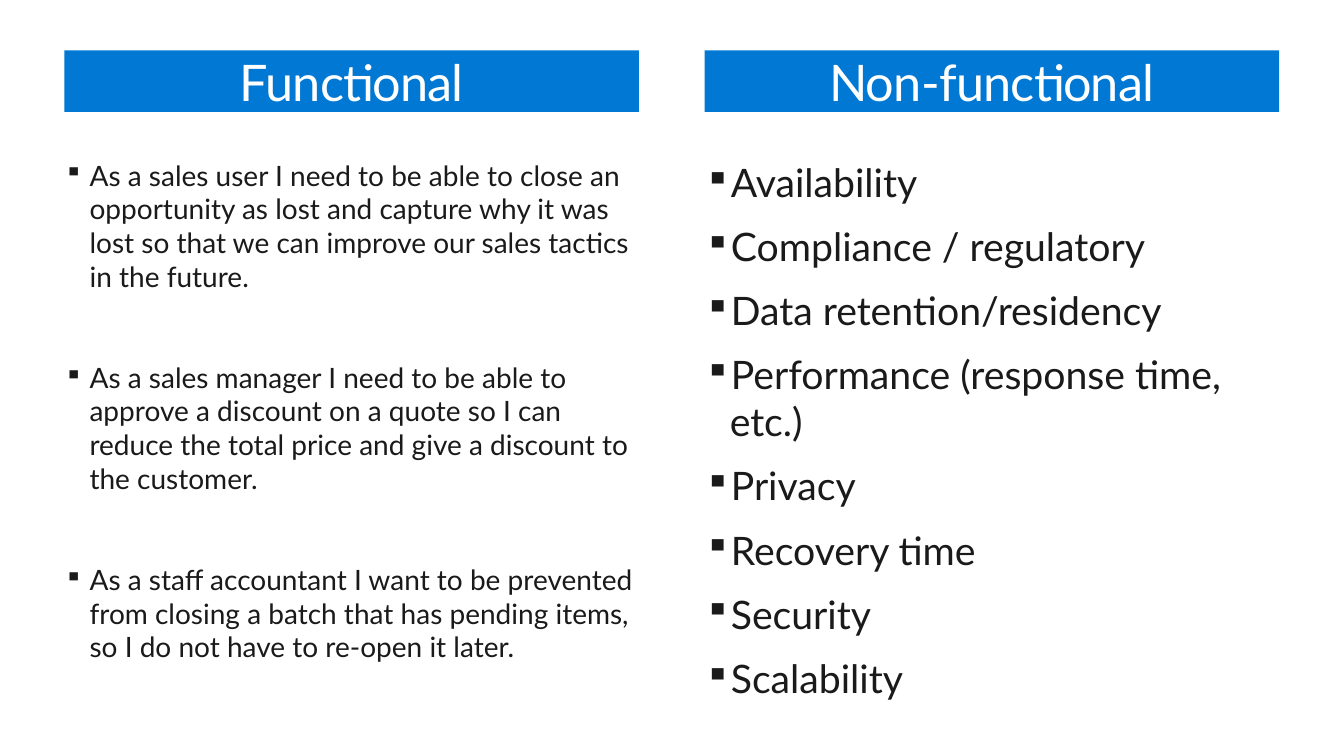
from dataclasses import dataclass

from lxml.etree import SubElement
from pptx import Presentation
from pptx.dml.color import RGBColor
from pptx.enum.shapes import MSO_SHAPE
from pptx.enum.text import MSO_ANCHOR, MSO_AUTO_SIZE, PP_ALIGN
from pptx.oxml.ns import qn
from pptx.shapes.autoshape import Shape
from pptx.slide import Slide
from pptx.text.text import Font, TextFrame, _Paragraph
from pptx.util import Pt

BLUE, WHITE, INK = "0078D4", "FFFFFF", "1A1A1A"
TYPEFACE = "Lato"
COLUMN_WIDTH = Pt(410.4)
HEADING_TOP, HEADING_HEIGHT = Pt(36), Pt(44)
LIST_TOP = Pt(113)
INDENT = Pt(18)
FRAME_FORMAT = {
    "margin_left": 0, "margin_top": 0, "margin_right": 0, "margin_bottom": 0,
    "word_wrap": True, "auto_size": MSO_AUTO_SIZE.NONE,
}


@dataclass(frozen=True)
class Column:
    heading: str
    left: Pt
    list_height: Pt
    size: Pt
    gap: Pt
    requirements: tuple[str, ...]


COLUMNS = (
    Column("Functional", Pt(46), Pt(410), Pt(20), Pt(48.4), (
        "As a sales user I need to be able to close an opportunity as lost and "
        "capture why it was lost so that we can improve our sales tactics in the future.",
        "As a sales manager I need to be able to approve a discount on a quote so I can "
        "reduce the total price and give a discount to the customer.",
        "As a staff accountant I want to be prevented from closing a batch that has "
        "pending items, so I do not have to re-open it later.",
    )),
    Column("Non-functional", Pt(503.3), Pt(436), Pt(28), Pt(12.2), (
        "Availability",
        "Compliance / regulatory",
        "Data retention/residency",
        "Performance (response time, etc.)",
        "Privacy",
        "Recovery time",
        "Security",
        "Scalability",
    )),
)


def rgb(value: str) -> RGBColor:
    return RGBColor.from_string(value)


def apply(target: object, values: dict) -> None:
    for name, value in values.items():
        setattr(target, name, value)


def set_font(font: Font, size: Pt, color: str) -> None:
    apply(font, {"name": TYPEFACE, "size": size, "bold": False})
    font.color.rgb = rgb(color)


def add_bullet(paragraph: _Paragraph) -> None:
    properties = paragraph._p.get_or_add_pPr()
    properties.set("marL", str(INDENT))
    properties.set("indent", str(-INDENT))
    color = SubElement(properties, qn("a:buClr"))
    SubElement(color, qn("a:srgbClr"), val=INK)
    SubElement(properties, qn("a:buSzPct"), val="90000")
    SubElement(properties, qn("a:buChar"), char="▪")


def format_heading(heading: Shape, column: Column) -> None:
    apply(heading, {"left": column.left, "top": HEADING_TOP,
                    "width": COLUMN_WIDTH, "height": HEADING_HEIGHT})
    heading.fill.solid()
    heading.fill.fore_color.rgb = rgb(BLUE)
    heading.line.fill.background()
    heading.shadow.inherit = False
    frame = heading.text_frame
    apply(frame, FRAME_FORMAT | {"vertical_anchor": MSO_ANCHOR.MIDDLE})
    paragraph = frame.paragraphs[0]
    paragraph.alignment = PP_ALIGN.CENTER
    run = paragraph.add_run()
    run.text = column.heading
    set_font(run.font, Pt(36), WHITE)
    run._r.get_or_add_rPr().set("spc", "-50")


def fill_list(frame: TextFrame, column: Column) -> None:
    apply(frame, FRAME_FORMAT | {"vertical_anchor": MSO_ANCHOR.TOP})
    for index, requirement in enumerate(column.requirements):
        paragraph = frame.add_paragraph() if index else frame.paragraphs[0]
        apply(paragraph, {"alignment": PP_ALIGN.LEFT,
                          "space_before": column.gap if index else Pt(0)})
        add_bullet(paragraph)
        run = paragraph.add_run()
        run.text = requirement
        set_font(run.font, column.size, INK)


def draw_column(slide: Slide, column: Column, heading: Shape) -> None:
    format_heading(heading, column)
    requirement_list = slide.shapes.add_textbox(
        column.left, LIST_TOP, COLUMN_WIDTH, column.list_height)
    fill_list(requirement_list.text_frame, column)


# Slide with title-only layout
presentation = Presentation()
apply(presentation, {"slide_width": Pt(960), "slide_height": Pt(540)})
slide = presentation.slides.add_slide(presentation.slide_layouts[5])

# Headings: the title, and a matching bar beside it
functional, non_functional = COLUMNS
draw_column(slide, functional, slide.shapes.title)
second_heading = slide.shapes.add_shape(
    MSO_SHAPE.RECTANGLE, non_functional.left, HEADING_TOP, COLUMN_WIDTH, HEADING_HEIGHT)
draw_column(slide, non_functional, second_heading)

presentation.save("out.pptx")
